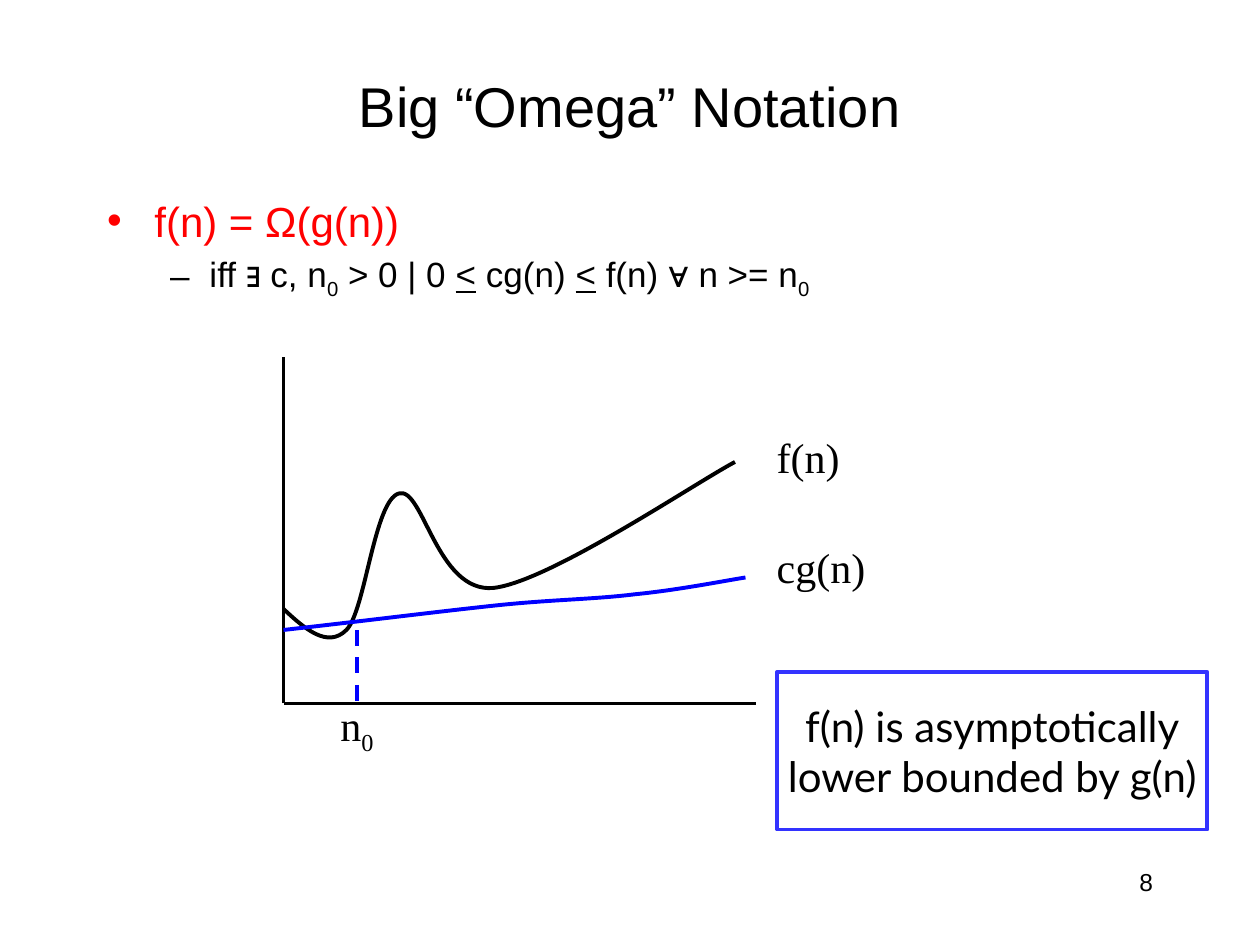
import pptx
import pptx.util
import pptx.dml.color
import pptx.enum.dml
import pptx.enum.shapes
import pptx.enum.text
import pptx.oxml.ns
import lxml.etree

RGB = pptx.dml.color.RGBColor
ALIGN = pptx.enum.text.PP_ALIGN
MID = pptx.enum.text.MSO_ANCHOR.MIDDLE
GROW = pptx.enum.text.MSO_AUTO_SIZE.SHAPE_TO_FIT_TEXT
SHAPES = pptx.enum.shapes
DASH = pptx.enum.dml.MSO_LINE.DASH
BLACK = RGB(0x00, 0x00, 0x00)
RED = RGB(0xFF, 0x00, 0x00)
BLUE = RGB(0x00, 0x00, 0xFF)
EDGE = RGB(0x33, 0x33, 0xFF)

COLS, ROWS = 120, 90
WIDE, HIGH = pptx.util.Inches(10), pptx.util.Inches(7.5)

F_CURVE = [(0, 24), (2.04, 25.9), (4.2, 27.8), (6, 26), (7.8, 24.2),
           (8.64, 13.64), (11, 13), (13.3, 12.3), (14.6, 22.5), (20, 22),
           (25.3, 21.4), (38.9, 12.2), (43, 10)]
G_CURVE = [(0, 26), (7.2, 25.2), (14.3, 24.3), (19.9, 23.7), (25.4, 23.1),
           (29.5, 23.1), (33.5, 22.6), (37.6, 22.2), (42.1, 21.3), (44, 21)]


def col(n):
    return round(WIDE * n / COLS)


def row(n):
    return round(HIGH * n / ROWS)


def spot(box):
    x, y, w, h = box
    return col(x), row(y), col(w), row(h)


def style(item, form):
    for key, value in form.items():
        setattr(item, key, value)


def place(shape, box):
    style(shape, dict(zip(("left", "top", "width", "height"), spot(box))))


def write(para, runs, face, size, color=BLACK):
    for text, mark in runs:
        run = para.add_run()
        run.text = text
        style(run.font, {"name": face, "size": pptx.util.Pt(size)})
        run.font.color.rgb = color
        if mark == "sub":
            run.font._element.set("baseline", "-25000")
        elif mark == "under":
            run.font.underline = True


def ink(line, color):
    line.color.rgb = color
    line.width = pptx.util.Pt(2.25)


def label(slide, box, runs, face, size, form):
    frame = slide.shapes.add_textbox(*spot(box)).text_frame
    style(frame, form)
    write(frame.paragraphs[0], runs, face, size)
    return frame.paragraphs[0]


def rule(slide, start, end, color):
    line = slide.shapes.add_connector(
        SHAPES.MSO_CONNECTOR.STRAIGHT,
        col(start[0]), row(start[1]), col(end[0]), row(end[1]))
    ink(line.line, color)
    lxml.etree.SubElement(line._element.spPr, pptx.oxml.ns.qn("a:effectLst"))
    return line


def bend(shape):
    name = pptx.oxml.ns.qn
    legs = list(shape._element.iter(name("a:lnTo")))
    for i in range(0, len(legs), 3):
        arc = lxml.etree.Element(name("a:cubicBezTo"))
        legs[i].addprevious(arc)
        for leg in legs[i:i + 3]:
            arc.append(leg[0])
            leg.getparent().remove(leg)


def curve(slide, box, nodes, color):
    points = [(col(box[0] + x), row(box[1] + y)) for x, y in nodes]
    pen = slide.shapes.build_freeform(*points[0])
    pen.add_line_segments(points[1:], close=False)
    shape = pen.convert_to_shape()
    bend(shape)
    shape.shadow.inherit = False
    shape.fill.background()
    ink(shape.line, color)


def title(slide, box):
    shape = slide.shapes.title
    place(shape, box)
    frame = shape.text_frame
    style(frame, {"vertical_anchor": MID, "word_wrap": True})
    frame.paragraphs[0].alignment = ALIGN.CENTER
    write(frame.paragraphs[0], [("Big “Omega” Notation", "")], "Arial", 32)


def body(slide, box):
    shape = slide.placeholders[1]
    place(shape, box)
    frame = shape.text_frame
    write(frame.paragraphs[0], [("f(n) = Ω(g(n))", "")], "Arial", 24, RED)
    para = frame.add_paragraph()
    para.level = 1
    runs = [("iff ∃ c, n", ""), ("0", "sub"), (" > 0 | 0 ", ""),
            ("<", "under"), (" cg(n) ", ""), ("<", "under"),
            (" f(n) ∀ n >= n", ""), ("0", "sub")]
    write(para, runs, "Arial", 20)


def graph(slide, box):
    x, y, w, h = box
    base = y + h
    rule(slide, (x, base), (x + w, base), BLACK)
    rule(slide, (x, base), (x, y), BLACK)
    curve(slide, box, F_CURVE, BLACK)
    curve(slide, box, G_CURVE, BLUE)
    rule(slide, (x + 7, y + 26), (x + 7, base), BLUE).line.dash_style = DASH
    names = [((45.8, 6.5, 8.4, 6), [("f(n)", "")]),
             ((45.8, 17, 10.8, 6), [("cg(n)", "")]),
             ((4.25, 32, 5.8, 6), [("n", ""), ("0", "sub")])]
    for (dx, dy, dw, dh), runs in names:
        label(slide, (x + dx, y + dy, dw, dh), runs, "Times New Roman", 24,
              {"word_wrap": False, "auto_size": GROW})


def note(slide, box):
    shape = slide.shapes.add_shape(SHAPES.MSO_SHAPE.RECTANGLE, *spot(box))
    shape.shadow.inherit = False
    shape.fill.background()
    ink(shape.line, EDGE)
    frame = shape.text_frame
    style(frame, {"vertical_anchor": MID, "word_wrap": False})
    lines = ("f(n) is asymptotically", "lower bounded by g(n)")
    for i, text in enumerate(lines):
        para = frame.add_paragraph() if i else frame.paragraphs[0]
        para.alignment = ALIGN.CENTER
        write(para, [(text, "")], "Lato", 24)


def number(slide, box):
    para = label(slide, box, [("8", "")], "Arial", 14, {"word_wrap": True})
    para.alignment = ALIGN.RIGHT


def main():
    deck = pptx.Presentation()
    style(deck, {"slide_width": WIDE, "slide_height": HIGH})
    slide = deck.slides.add_slide(deck.slide_layouts[1])
    number(slide, (86, 82, 25, 6))
    title(slide, (9, 5, 102, 10))
    body(slide, (9, 18, 102, 62))
    graph(slide, (27, 34, 45, 33))
    note(slide, (74, 64, 41, 15))
    deck.save("out.pptx")


if __name__ == "__main__":
    main()
